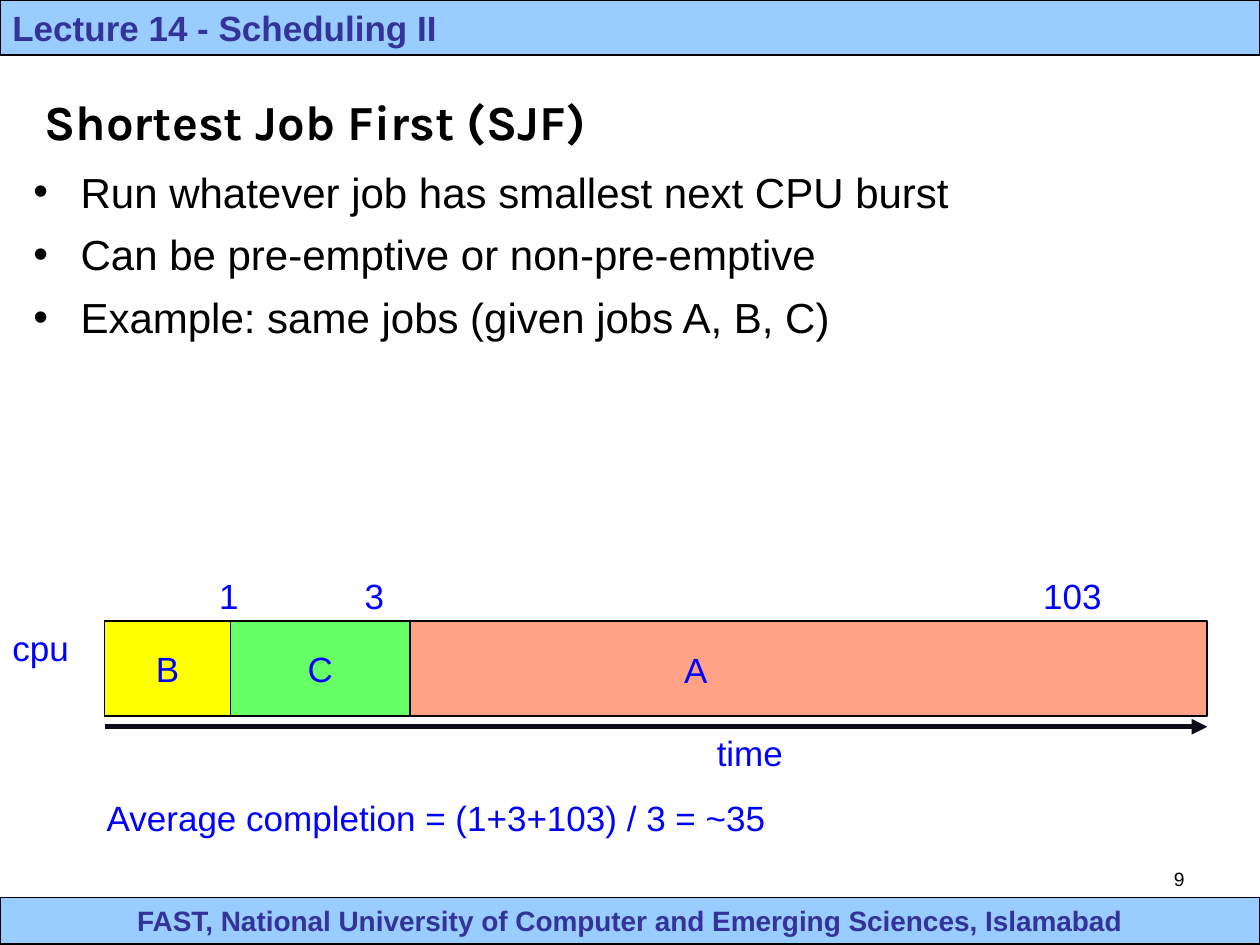
from pptx import Presentation
from pptx.dml import color
from pptx.enum import shapes, text
from pptx.oxml import ns
from pptx.util import Cm, Pt
from lxml import etree

LEFT, RIGHT, CENTER = text.PP_ALIGN.LEFT, text.PP_ALIGN.RIGHT, text.PP_ALIGN.CENTER
BLUE, NAVY, SKY = "0000FF", "333399", "99CCFF"
START, TOP, TALL, END = 2.11, 12.52, 1.91, 24.34


def rgb(code):
    return color.RGBColor.from_string(code)


def style(para, size, code, bold=False, face="Arial", align=LEFT):
    para.alignment = align
    for run in para.runs:
        font = run.font
        font.size, font.bold, font.name = Pt(size), bold, face
        font.color.rgb = rgb(code)


def place(shape, x, y, w, h):
    shape.left, shape.top, shape.width, shape.height = map(Cm, (x, y, w, h))


def label(slide, words, x, y, w, h=1.12, size=20, code=BLUE, align=LEFT):
    box = slide.shapes.add_textbox(Cm(x), Cm(y), Cm(w), Cm(h))
    box.text_frame.word_wrap = True
    box.text_frame.text = words
    style(box.text_frame.paragraphs[0], size, code, align=align)


def block(slide, area, fill, width, words="", size=20, code=BLUE,
          bold=False, align=CENTER):
    box = slide.shapes.add_shape(shapes.MSO_SHAPE.RECTANGLE, *map(Cm, area))
    box.shadow.inherit = False
    box.fill.solid()
    box.fill.fore_color.rgb = rgb(fill)
    box.line.color.rgb = rgb("000000")
    box.line.width = Pt(width)
    if words:
        frame = box.text_frame
        frame.text = words
        frame.word_wrap = True
        frame.vertical_anchor = text.MSO_ANCHOR.MIDDLE
        style(frame.paragraphs[0], size, code, bold, align=align)


def title(slide, words):
    shape = slide.shapes.title
    place(shape, 0.64, 1.48, 22.86, 1.9)
    frame = shape.text_frame
    frame.text = words
    frame.auto_size = text.MSO_AUTO_SIZE.NONE
    frame.vertical_anchor = text.MSO_ANCHOR.MIDDLE
    style(frame.paragraphs[0], 28, "000000", True, "Karla")


def bullets(slide, lines):
    shape = slide.placeholders[1]
    place(shape, 0.42, 3.22, 24.98, 9.7)
    frame = shape.text_frame
    frame.text = "\n".join(lines)
    frame.auto_size = text.MSO_AUTO_SIZE.NONE
    for i, para in enumerate(frame.paragraphs):
        props = para._p.get_or_add_pPr()
        props.set("marL", str(Cm(0.95)))
        props.set("indent", str(-Cm(0.95)))
        para.space_before = Pt(7 if i else 0)
        etree.SubElement(props, ns.qn("a:buChar")).set("char", "•")
        style(para, 24, "000000")


def arrow(slide, x, y, end):
    line = slide.shapes.add_connector(
        shapes.MSO_CONNECTOR.STRAIGHT, Cm(x), Cm(y), Cm(end), Cm(y))
    line.line.color.rgb = rgb("0F0C19")
    line.line.width = Pt(3)
    etree.SubElement(line.line._get_or_add_ln(),
                     ns.qn("a:tailEnd")).set("type", "triangle")
    etree.SubElement(line._element.spPr, ns.qn("a:effectLst"))


def chart(slide):
    block(slide, (START, TOP, END - START, TALL), "FFA285", 1)
    label(slide, "A", 13.54, 12.95, 3.07)
    x = START
    for name, wide, fill in (("B", 2.54, "FFFF00"), ("C", 3.61, "66FF66")):
        block(slide, (x, TOP, wide, TALL), fill, 1, name)
        x += wide
    for mark, x in (("1", 4.17), ("3", 7.1), ("103", 20.78)):
        label(slide, mark, x, 11.46, 2)
    label(slide, "cpu", 0, 12.5, 1.8)
    arrow(slide, START, 14.65, END)
    label(slide, "time", 14.2, 14.63, 2)


def main():
    deck = Presentation()
    deck.slide_width, deck.slide_height = Cm(25.4), Cm(19.05)
    slide = deck.slides.add_slide(deck.slide_layouts[1])
    block(slide, (0, 18.09, 25.4, 0.94), SKY, 0.75,
          "FAST, National University of Computer and Emerging Sciences, Islamabad",
          16, NAVY, True)
    block(slide, (0, 0, 25.4, 1.11), SKY, 0.75,
          "Lecture 14 - Scheduling II", 20, NAVY, True, LEFT)
    label(slide, "9", 18.21, 17.35, 5.92, 1.32, 11, "000000", RIGHT)
    title(slide, "Shortest Job First (SJF)")
    bullets(slide, ("Run whatever job has smallest next CPU burst",
                    "Can be pre-emptive or non-pre-emptive",
                    "Example: same jobs (given jobs A, B, C)"))
    chart(slide)
    label(slide, "Average completion = (1+3+103) / 3 = ~35", 1.9, 15.93, 22.23)
    deck.save("out.pptx")


if __name__ == "__main__":
    main()
